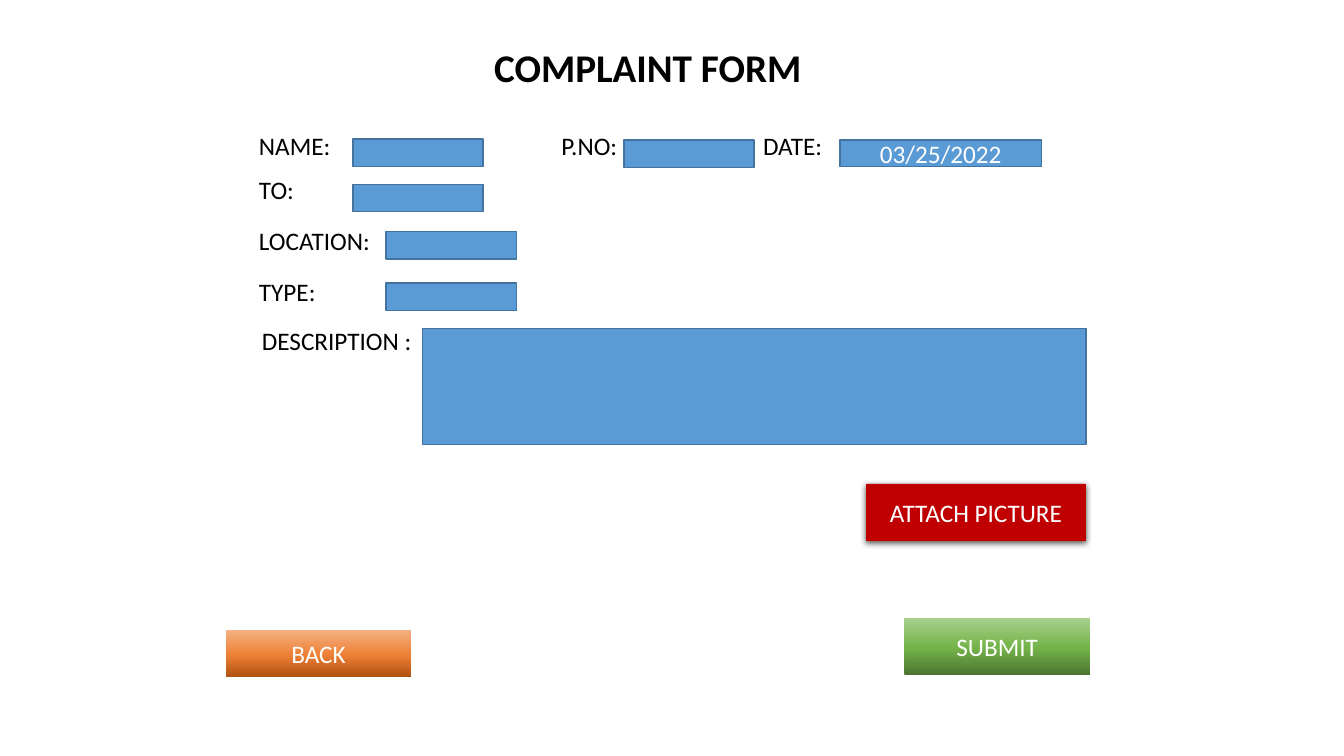
"""Build the complaint form slide."""
from copy import deepcopy
from dataclasses import dataclass

from lxml import etree
from pptx import Presentation
from pptx import util as u
from pptx.dml.color import RGBColor
from pptx.enum import shapes, text
from pptx.oxml import ns


@dataclass(frozen=True)
class Theme:
    """Colours and type sizes of the form."""
    font: str = "Calibri"
    title_size: int = 28
    body_size: int = 18
    ink: str = "000000"
    light: str = "FFFFFF"
    field: str = "5B9BD5"
    field_line: str = "43739E"
    attach: tuple = ("C00000",)
    back: tuple = ("B0500F", "EE8137", "F4B183")
    submit: tuple = ("4B7430", "74B349", "A9D18E")
    stops: tuple = (0, 0.48, 1)


@dataclass(frozen=True)
class Label:
    """A field caption, with the stops of any tabs in it."""
    words: str
    left: float
    top: float
    width: float
    tabs: tuple = ()


@dataclass(frozen=True)
class Field:
    """An input box of the form."""
    left: float
    top: float
    width: float = 1.29
    height: float = 0.27
    words: str = ""


@dataclass(frozen=True)
class Button:
    """A button with one colour or a three-colour gradient."""
    words: str
    left: float
    top: float
    width: float
    height: float
    colours: tuple
    shadow: bool = False


THEME = Theme()
LABELS = (
    Label("NAME:\tP.NO:\tDATE:", 2.47, 1.24, 7.27, (3, 5)),
    Label("TO:", 2.47, 1.68, 0.65),
    Label("LOCATION:", 2.47, 2.19, 1.37),
    Label("TYPE:", 2.47, 2.69, 0.87),
    Label("DESCRIPTION :", 2.5, 3.18, 1.76),
)
FIELDS = (
    Field(3.5, 1.38),
    Field(6.19, 1.39),
    Field(8.33, 1.39, 2, 0.26, "03/25/2022"),
    Field(3.5, 1.83),
    Field(3.83, 2.3),
    Field(3.83, 2.81),
    Field(4.19, 3.26, 6.58, 1.15),
)
BUTTONS = (
    Button("BACK", 2.24, 6.25, 1.84, 0.47, THEME.back),
    Button("SUBMIT", 8.97, 6.13, 1.84, 0.57, THEME.submit),
    Button("ATTACH PICTURE", 8.59, 4.8, 2.18, 0.57, THEME.attach, True),
)


def apply(target, formats: dict) -> None:
    """Set every format value on the target."""
    for name, value in formats.items():
        setattr(target, name, value)


def write(box, words: str, colour: str, size: int = THEME.body_size,
          align=text.PP_ALIGN.CENTER, anchor=text.MSO_ANCHOR.MIDDLE, bold: bool = False):
    """Write one formatted paragraph in a box and return it."""
    frame = box.text_frame
    apply(frame, {"word_wrap": True, "vertical_anchor": anchor})
    para = frame.paragraphs[0]
    para.alignment = align
    span = para.add_run()
    span.text = words
    apply(span.font, {"name": THEME.font, "size": u.Pt(size), "bold": bold})
    span.font.color.rgb = RGBColor.from_string(colour)
    return para


def add_title(page, words: str) -> None:
    """Place and fill the title placeholder."""
    title = page.shapes.title
    apply(title, {"left": u.Inches(3.45), "top": u.Inches(0.38),
                  "width": u.Inches(5.95), "height": u.Inches(0.57)})
    write(title, words, THEME.ink, THEME.title_size, bold=True)


def add_label(page, label: Label) -> None:
    """Draw a caption and set its tab stops."""
    box = page.shapes.add_textbox(u.Inches(label.left), u.Inches(label.top),
                                  u.Inches(label.width), u.Inches(0.4))
    para = write(box, label.words, THEME.ink, align=text.PP_ALIGN.LEFT,
                 anchor=text.MSO_ANCHOR.TOP)
    if label.tabs:
        tabs = etree.SubElement(para._p.get_or_add_pPr(), ns.qn("a:tabLst"))
        for stop in label.tabs:
            etree.SubElement(tabs, ns.qn("a:tab"), pos=str(u.Inches(stop)), algn="l")


def add_box(page, item):
    """Draw the plain rectangle of a field or button."""
    box = page.shapes.add_shape(shapes.MSO_SHAPE.RECTANGLE, u.Inches(item.left),
                                u.Inches(item.top), u.Inches(item.width),
                                u.Inches(item.height))
    box.shadow.inherit = False
    if item.words:
        write(box, item.words, THEME.light)
    return box


def fill_solid(box, colour: str) -> None:
    """Fill a box with one colour."""
    box.fill.solid()
    box.fill.fore_color.rgb = RGBColor.from_string(colour)


def fill_gradient(box, colours: tuple) -> None:
    """Fill a box with colours running from bottom to top."""
    box.fill.gradient()
    box.fill.gradient_angle = 90
    stop_list = box._element.spPr.find(".//" + ns.qn("a:gsLst"))
    stop_list.append(deepcopy(stop_list[-1]))
    for stop, place, colour in zip(box.fill.gradient_stops, THEME.stops, colours):
        stop.position = place
        stop.color.rgb = RGBColor.from_string(colour)


def add_shadow(box) -> None:
    """Cast a soft shadow below a box."""
    effects = box._element.spPr.find(ns.qn("a:effectLst"))
    shadow = etree.SubElement(effects, ns.qn("a:outerShdw"), blurRad=str(u.Pt(4.5)),
                              dist=str(u.Pt(1.5)), dir="5400000", algn="ctr",
                              rotWithShape="0")
    colour = etree.SubElement(shadow, ns.qn("a:srgbClr"), val=THEME.ink)
    etree.SubElement(colour, ns.qn("a:alpha"), val="63000")


def add_field(page, field: Field) -> None:
    """Draw an outlined input box."""
    box = add_box(page, field)
    fill_solid(box, THEME.field)
    box.line.color.rgb = RGBColor.from_string(THEME.field_line)
    box.line.width = u.Pt(1)


def add_button(page, button: Button) -> None:
    """Draw a button without an outline."""
    box = add_box(page, button)
    box.line.fill.background()
    if len(button.colours) == 1:
        fill_solid(box, button.colours[0])
    else:
        fill_gradient(box, button.colours)
    if button.shadow:
        add_shadow(box)


def main() -> None:
    """Assemble and save the deck."""
    deck = Presentation()
    apply(deck, {"slide_width": u.Inches(13.33), "slide_height": u.Inches(7.5)})
    page = deck.slides.add_slide(deck.slide_layouts.get_by_name("Title Only"))
    add_title(page, "COMPLAINT FORM")
    for draw, items in ((add_label, LABELS), (add_field, FIELDS), (add_button, BUTTONS)):
        for item in items:
            draw(page, item)
    deck.save("out.pptx")


main()
